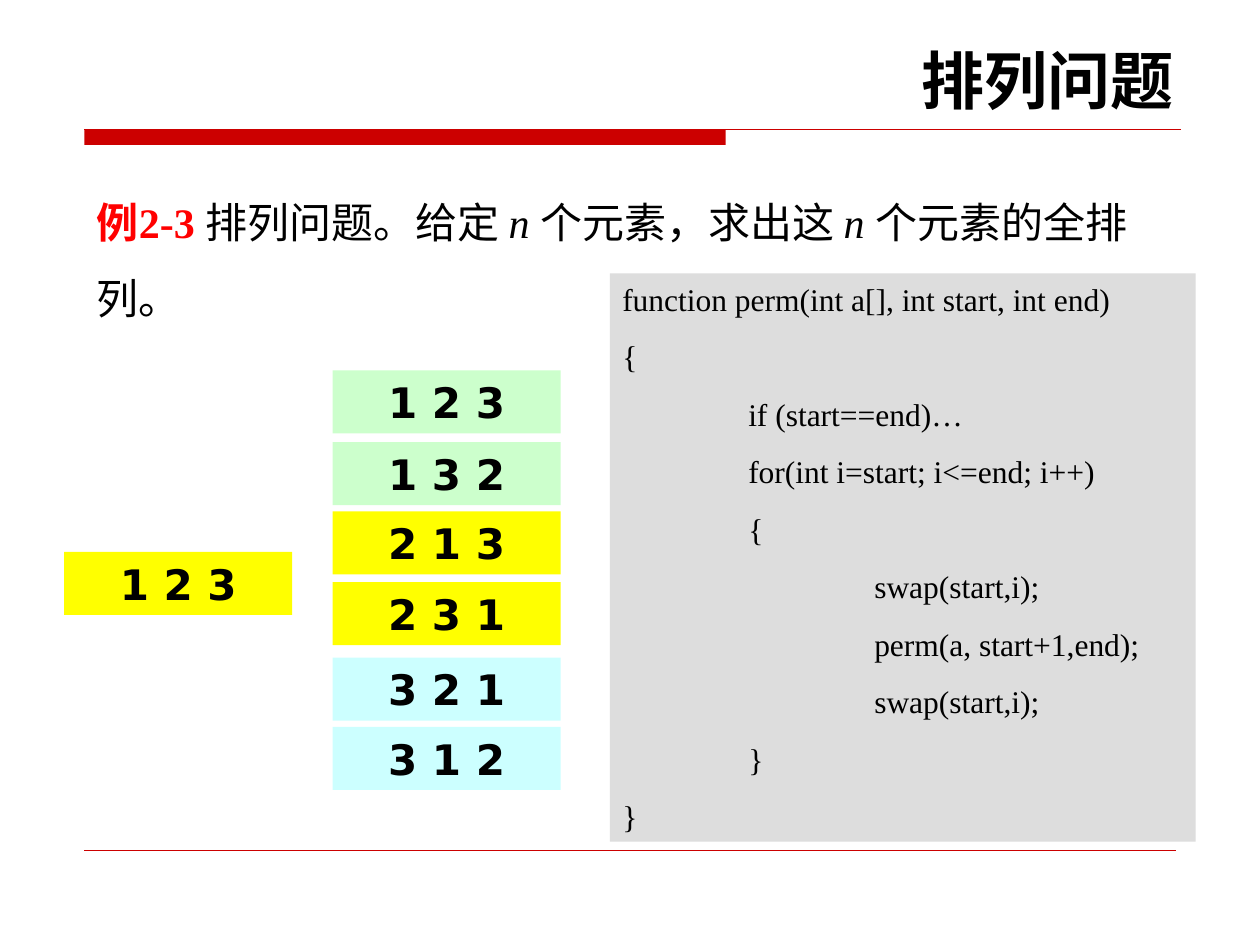
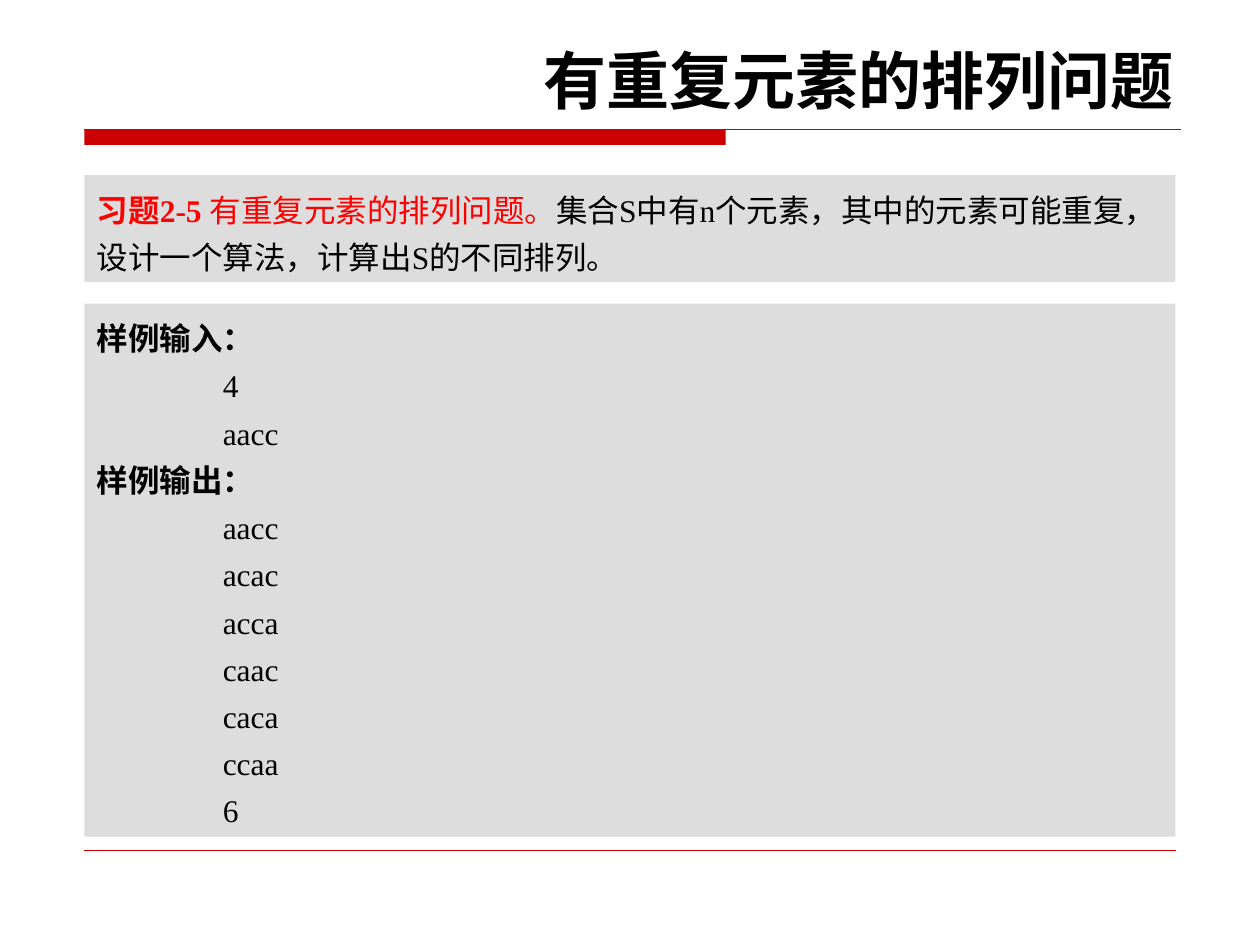
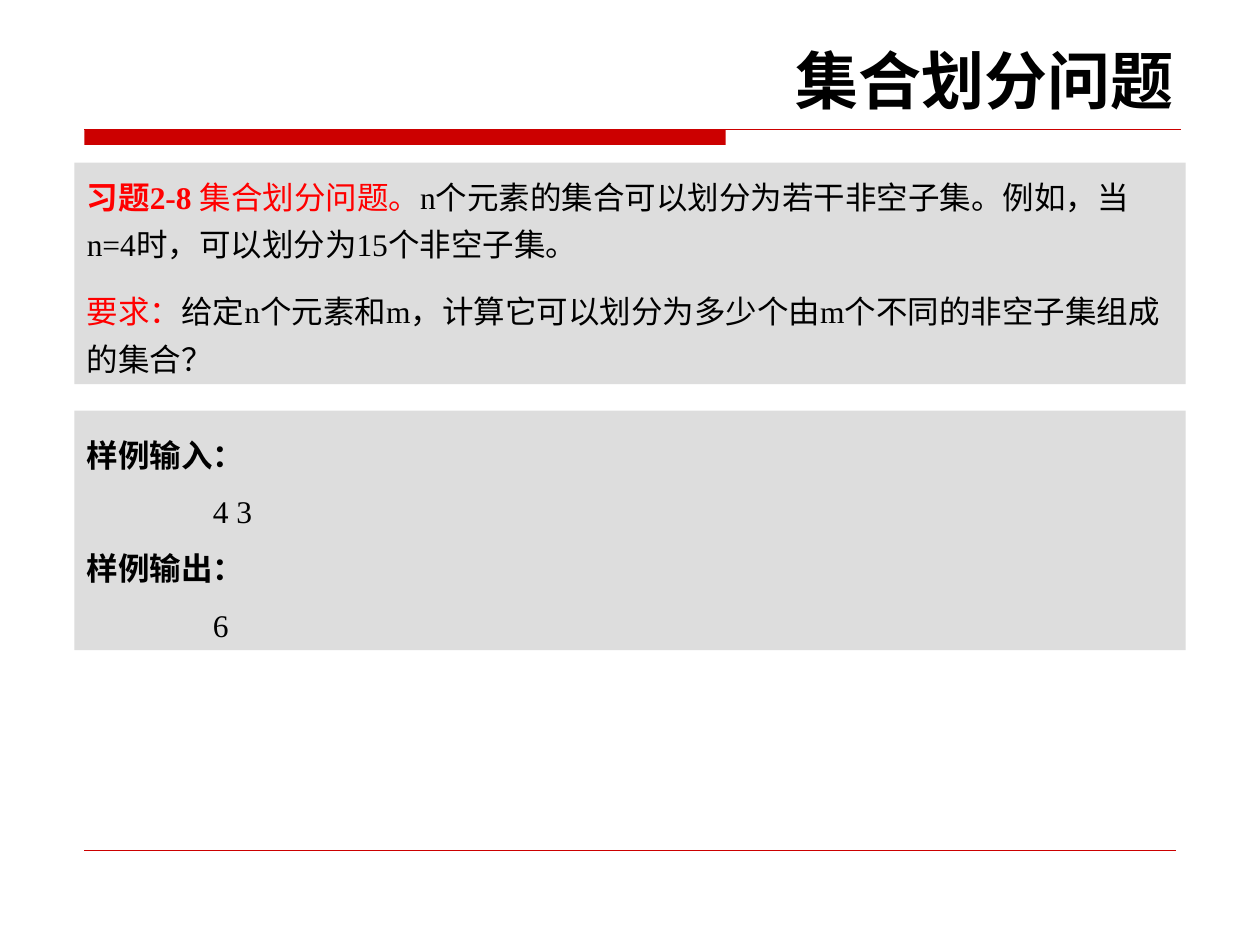
from dataclasses import dataclass

from lxml import etree
from pptx import Presentation
from pptx.dml.color import RGBColor
from pptx.enum.shapes import MSO_CONNECTOR as Conn, MSO_SHAPE as Shape
from pptx.enum.text import MSO_ANCHOR as Anchor, MSO_AUTO_SIZE as AutoSize, PP_ALIGN as Align
from pptx.oxml.ns import qn
from pptx.util import Inches, Pt


@dataclass(frozen=True)
class Theme:
    band: str = "CC0000"
    text: str = "000000"
    accent: str = "FF0000"
    panel: str = "DDDDDD"
    yellow: str = "FFFF00"
    green: str = "CCFFCC"
    cyan: str = "CCFFFF"
    heading_font: str = "DejaVu Sans"
    body_font: str = "Times New Roman"
    title_size: float = 36
    lead_size: float = 24
    body_size: float = 18
    para_gap: float = 11.25
    left: float = 0.67
    width: float = 8.66


class Deck:
    """Holds the style and the current slide."""

    def __init__(self, theme):
        self.theme = theme
        self.prs = Presentation()
        self.prs.slide_width, self.prs.slide_height = Inches(10), Inches(7.5)
        self.s = None

    def slide(self, title):
        t = self.theme
        self.s = self.prs.slides.add_slide(self.prs.slide_layouts[5])
        # Red band under the title and thin line at the foot
        self.rect(t.left, 1.03, 5.09, 0.12, t.band)
        self.line(t.left, 9.37, 1.03, 0.75)
        self.line(t.left, t.left + t.width, 6.75, 0.25)
        # Title
        sp = self.s.shapes.title
        sp.left, sp.top, sp.width, sp.height = map(Inches, (0.51, 0.28, 8.9, 0.7))
        self.fill_text(sp, [[(title, "b")]], t.title_size, t.heading_font, Align.RIGHT)

    def line(self, x1, x2, y, weight):
        ln = self.s.shapes.add_connector(
            Conn.STRAIGHT, Inches(x1), Inches(y), Inches(x2), Inches(y))
        ln.line.color.rgb = RGBColor.from_string(self.theme.band)
        ln.line.width = Pt(weight)
        etree.SubElement(ln._element.spPr, qn("a:effectLst"))

    def rect(self, x, y, w, h, fill):
        sp = self.s.shapes.add_shape(Shape.RECTANGLE, *map(Inches, (x, y, w, h)))
        sp.shadow.inherit = False
        sp.fill.solid()
        sp.fill.fore_color.rgb = RGBColor.from_string(fill)
        sp.line.fill.background()
        return sp

    def cell(self, x, y, text, fill):
        t = self.theme
        sp = self.rect(x, y, 1.81, 0.5, fill)
        self.fill_text(sp, [[(text, "b")]], t.lead_size, t.heading_font, Align.CENTER)

    def panel(self, x, y, w, h, paras, spacing=1.0, gap=0):
        t = self.theme
        sp = self.rect(x, y, w, h, t.panel)
        self.fill_text(sp, paras, t.body_size, t.body_font, spacing=spacing, gap=gap)

    def lead(self, x, y, w, h, runs):
        t = self.theme
        sp = self.s.shapes.add_textbox(*map(Inches, (x, y, w, h)))
        self.fill_text(sp, [runs], t.lead_size, t.body_font, spacing=1.5)

    def fill_text(self, sp, paras, size, font, align=Align.LEFT, spacing=1.0, gap=0):
        """Each paragraph is a list of (text, marks); marks: b bold, i italic, r red."""
        t = self.theme
        tf = sp.text_frame
        tf.word_wrap = True
        tf.auto_size = AutoSize.SHAPE_TO_FIT_TEXT
        tf.vertical_anchor = Anchor.TOP
        for i, runs in enumerate(paras):
            p = tf.add_paragraph() if i else tf.paragraphs[0]
            p.alignment = align
            p.line_spacing = spacing
            p.space_before = Pt(gap if i else 0)
            if runs[0][0].startswith("\t"):
                self.tab_stops(p)
            for text, marks in runs:
                r = p.add_run()
                r.text = text
                r.font.name, r.font.size = font, Pt(size)
                r.font.bold, r.font.italic = "b" in marks, "i" in marks
                r.font.color.rgb = RGBColor.from_string(t.accent if "r" in marks else t.text)

    @staticmethod
    def tab_stops(p):
        tabs = etree.SubElement(p._p.get_or_add_pPr(), qn("a:tabLst"))
        for inch in (1, 2):
            etree.SubElement(tabs, qn("a:tab"), pos=str(Inches(inch)), algn="l")


def plain(lines):
    return [[(line, "")] for line in lines]


def sample(inputs, outputs):
    """Sample input and output under bold headings, values set in by one tab."""
    paras = []
    for heading, values in (("样例输入：", inputs), ("样例输出：", outputs)):
        paras += [[(heading, "b")]] + plain("\t" + v for v in values)
    return paras


PERM_CODE = """function perm(int a[], int start, int end)
{
\tif (start==end)…
\tfor(int i=start; i<=end; i++)
\t{
\t\tswap(start,i);
\t\tperm(a, start+1,end);
\t\tswap(start,i);
\t}
}"""


def permutation_slide(deck):
    t = deck.theme
    deck.slide("排列问题")
    deck.lead(t.left, 1.31, t.width, 1.3, [
        ("例2-3 ", "br"), ("排列问题。给定 ", ""), ("n ", "i"),
        ("个元素，求出这 ", ""), ("n ", "i"), ("个元素的全排列。", "")])
    # Starting order and its permutations, coloured by first element
    deck.cell(0.51, 4.38, "1 2 3", t.yellow)
    for y, order, fill in (
            (2.94, "1 2 3", t.green), (3.51, "1 3 2", t.green),
            (4.06, "2 1 3", t.yellow), (4.62, "2 3 1", t.yellow),
            (5.22, "3 2 1", t.cyan), (5.77, "3 1 2", t.cyan)):
        deck.cell(2.64, y, order, fill)
    deck.panel(4.84, 2.17, 4.65, 4.51, plain(PERM_CODE.split("\n")), gap=t.para_gap)


def repeated_slide(deck):
    t = deck.theme
    deck.slide("有重复元素的排列问题")
    deck.panel(t.left, 1.39, t.width, 0.85, [[
        ("习题2-5 ", "br"), ("有重复元素的排列问题。", "r"),
        ("集合S中有n个元素，其中的元素可能重复，设计一个算法，计算出S的不同排列。", "")]],
        spacing=1.25)
    deck.panel(t.left, 2.41, t.width, 4.23, sample(
        ["4", "aacc"], ["aacc", "acac", "acca", "caac", "caca", "ccaa", "6"]),
        spacing=1.25)


def partition_slide(deck):
    x, w = 0.59, 8.82
    deck.slide("集合划分问题")
    deck.panel(x, 1.29, w, 1.76, [
        [("习题2-8 ", "br"), ("集合划分问题。", "r"),
         ("n个元素的集合可以划分为若干非空子集。例如，当n=4时，可以划分为15个非空子集。", "")],
        [("要求：", "r"),
         ("给定n个元素和m，计算它可以划分为多少个由m个不同的非空子集组成的集合？", "")]],
        spacing=1.25, gap=deck.theme.para_gap)
    deck.panel(x, 3.26, w, 1.9, sample(["4 3"], ["6"]), spacing=1.5)


def main():
    deck = Deck(Theme())
    permutation_slide(deck)
    repeated_slide(deck)
    partition_slide(deck)
    deck.prs.save("out.pptx")


if __name__ == "__main__":
    main()
